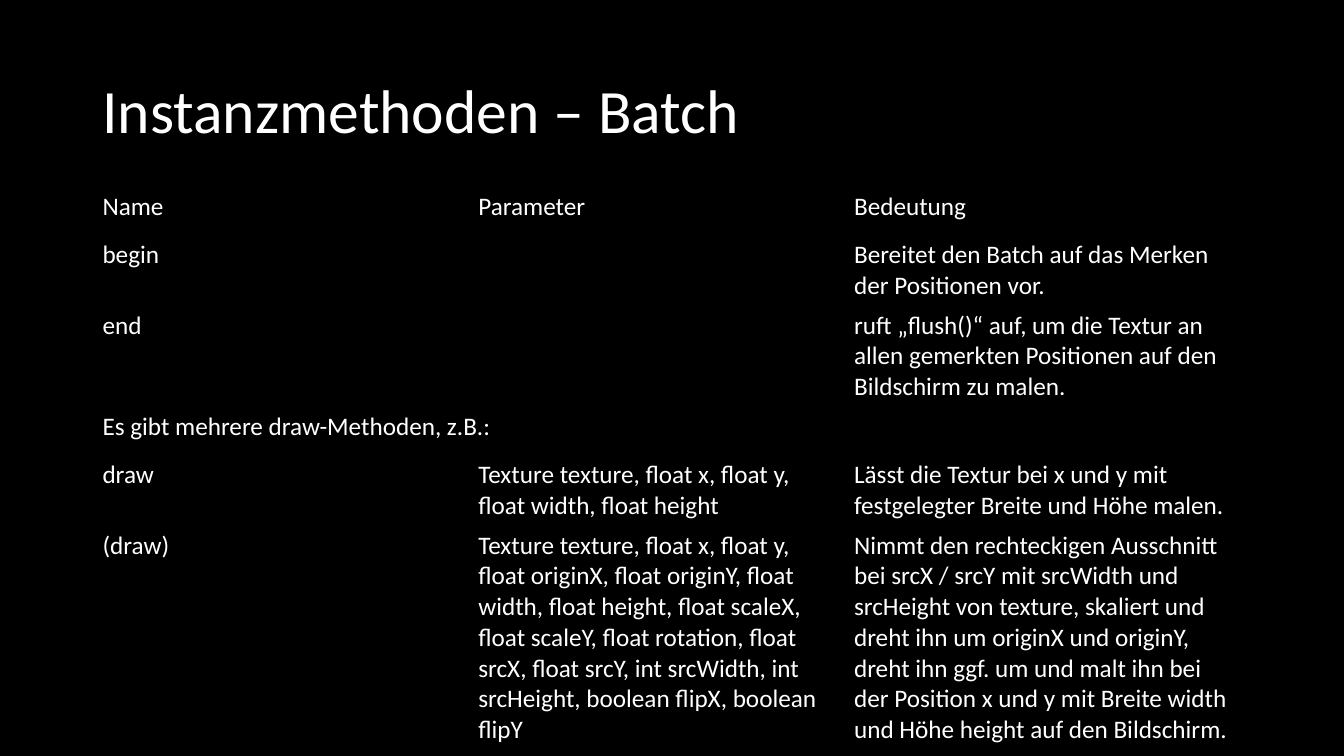
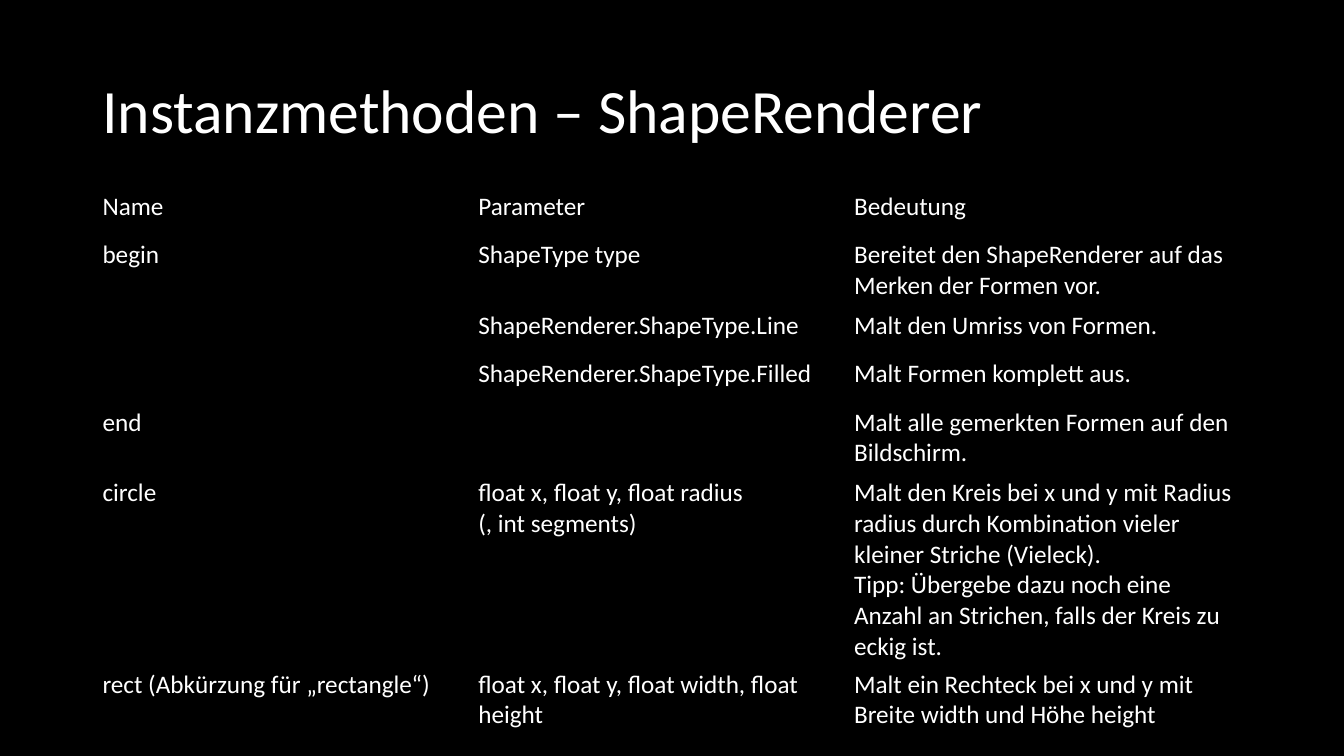
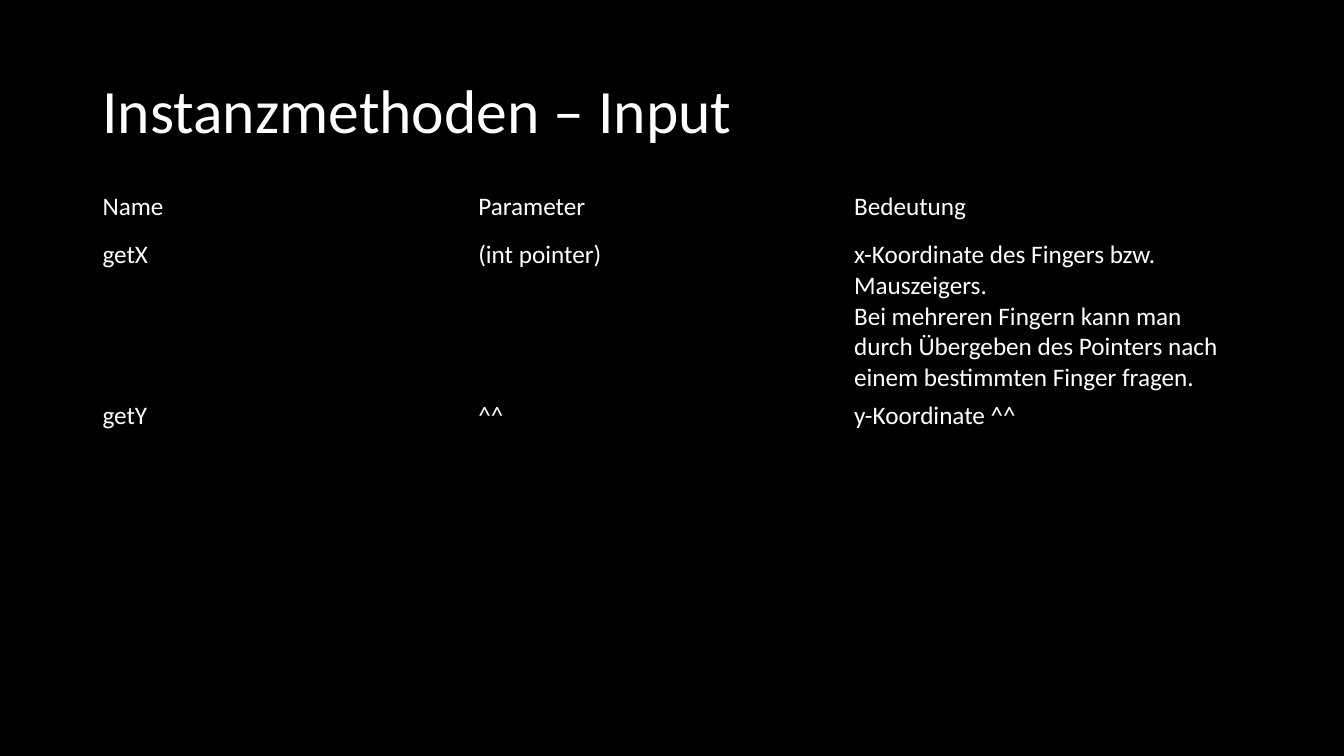
"""Build three slides that list the instance methods of Batch, ShapeRenderer and Input."""
from dataclasses import dataclass

from pptx import Presentation
from pptx.dml.color import RGBColor
from pptx.enum.text import MSO_ANCHOR
from pptx.oxml.ns import qn
from pptx.util import Cm, Pt

MIDDLE = MSO_ANCHOR.MIDDLE
PLAIN = "{2D5ABB26-0587-4C30-8999-92F81FD0307C}"


@dataclass(frozen=True)
class Theme:
    back: RGBColor = RGBColor(0, 0, 0)
    ink: RGBColor = RGBColor(255, 255, 255)
    font: str = "Calibri"
    title: Pt = Pt(44)
    body: Pt = Pt(18)


theme = Theme()
LEFT, WIDTH = Cm(2.33), Cm(29.21)
COLS = (Cm(9.47), Cm(9.47), Cm(10.27))
ROW = Cm(1.22)
HEAD = ("Name", "Parameter", "Bedeutung")

PAGES = [
    ("Batch", [
        ("begin", "", "Bereitet den Batch auf das Merken der Positionen vor."),
        ("end", "", "ruft „flush()“ auf, um die Textur an allen gemerkten "
                    "Positionen auf den Bildschirm zu malen."),
        ("Es gibt mehrere draw-Methoden, z.B.:", "", ""),
        ("draw", "Texture texture, float x, float y, float width, float height",
         "Lässt die Textur bei x und y mit festgelegter Breite und Höhe malen."),
        ("(draw)",
         "Texture texture, float x, float y, float originX, float originY, "
         "float width, float height, float scaleX, float scaleY, float rotation, "
         "float srcX, float srcY, int srcWidth, int srcHeight, "
         "boolean flipX, boolean flipY",
         "Nimmt den rechteckigen Ausschnitt bei srcX / srcY mit srcWidth und "
         "srcHeight von texture, skaliert und dreht ihn um originX und originY, "
         "dreht ihn ggf. um und malt ihn bei der Position x und y mit Breite "
         "width und Höhe height auf den Bildschirm."),
    ], [((3, 0), (3, 2))]),
    ("ShapeRenderer", [
        ("begin", "ShapeType type",
         "Bereitet den ShapeRenderer auf das Merken der Formen vor."),
        ("", "ShapeRenderer.ShapeType.Line", "Malt den Umriss von Formen."),
        ("", "ShapeRenderer.ShapeType.Filled", "Malt Formen komplett aus."),
        ("end", "", "Malt alle gemerkten Formen auf den Bildschirm."),
        ("circle", "float x, float y, float radius\n(, int segments)",
         "Malt den Kreis bei x und y mit Radius radius durch Kombination vieler "
         "kleiner Striche (Vieleck).\nTipp: Übergebe dazu noch eine Anzahl an "
         "Strichen, falls der Kreis zu eckig ist."),
        ("rect (Abkürzung für „rectangle“)",
         "float x, float y, float width, float height",
         "Malt ein Rechteck bei x und y mit Breite width und Höhe height"),
    ], [((1, 0), (3, 0))]),
    ("Input", [
        ("getX", "(int pointer)",
         "x-Koordinate des Fingers bzw. Mauszeigers.\nBei mehreren Fingern kann "
         "man durch Übergeben des Pointers nach einem bestimmten Finger fragen."),
        ("getY", "^^", "y-Koordinate ^^"),
    ], []),
]


def write(para, text, size):
    for num, line in enumerate(text.split("\n")):
        if num:
            para.add_line_break()
        run = para.add_run()
        run.text = line
        run.font.name = theme.font
        run.font.size = size
        run.font.color.rgb = theme.ink


deck = Presentation()
deck.slide_width, deck.slide_height = Cm(33.87), Cm(19.05)

for name, methods, spans in PAGES:
    slide = deck.slides.add_slide(deck.slide_layouts[6])
    slide.background.fill.solid()
    slide.background.fill.fore_color.rgb = theme.back

    frame = slide.shapes.add_textbox(LEFT, Cm(1.01), WIDTH, Cm(3.68)).text_frame
    frame.word_wrap = True
    frame.vertical_anchor = MIDDLE
    frame.paragraphs[0].line_spacing = 0.9
    write(frame.paragraphs[0], f"Instanzmethoden – {name}", theme.title)

    rows = [HEAD, *methods]
    table = slide.shapes.add_table(
        len(rows), len(COLS), LEFT, Cm(4.69), WIDTH, ROW * len(rows)).table
    table.first_row = table.horz_banding = False
    table._tbl.tblPr.find(qn("a:tableStyleId")).text = PLAIN
    for col, width in zip(table.columns, COLS):
        col.width = width
    for line, row in zip(table.rows, rows):
        line.height = ROW
        for cell, text in zip(line.cells, row):
            cell.fill.background()
            if text:
                write(cell.text_frame.paragraphs[0], text, theme.body)
    for start, end in spans:
        table.cell(*start).merge(table.cell(*end))

deck.save("out.pptx")
